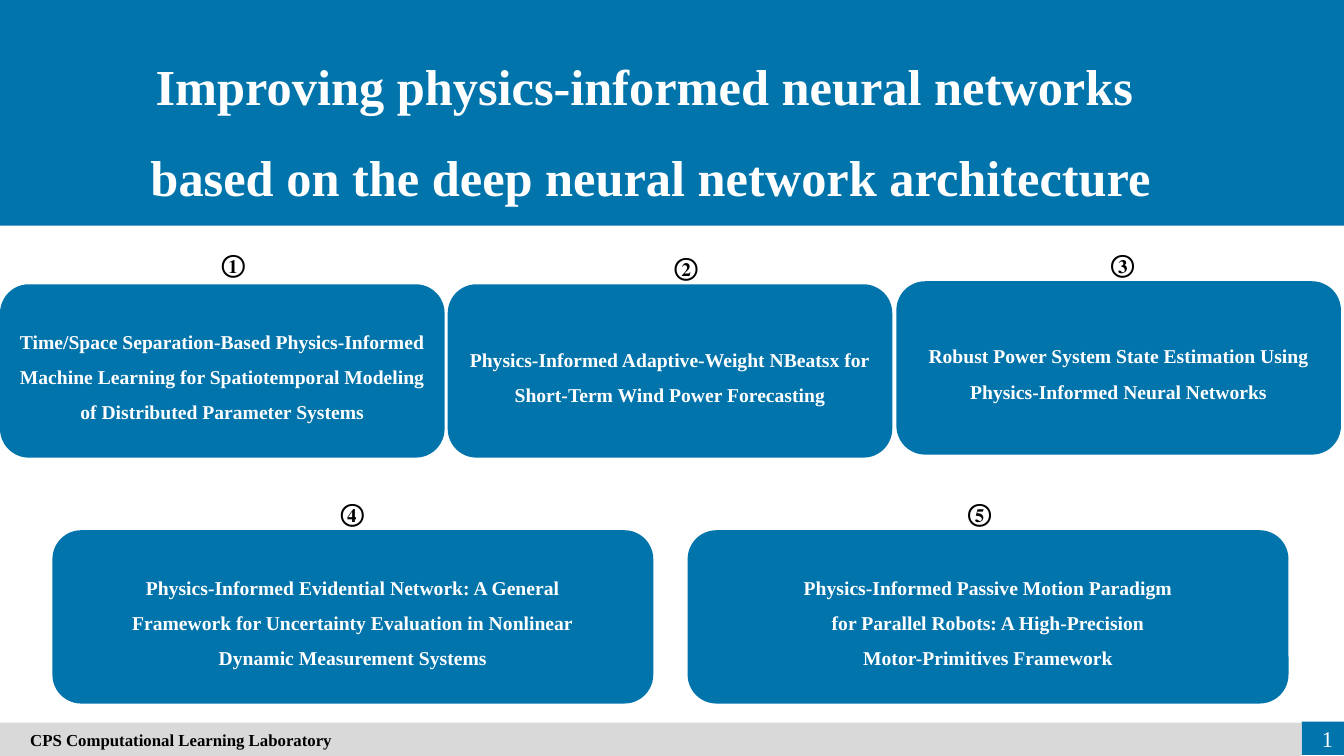
from pptx import Presentation
from pptx.dml.color import RGBColor
from pptx.enum.shapes import MSO_SHAPE
from pptx.enum.text import MSO_ANCHOR, MSO_AUTO_SIZE, PP_ALIGN
from pptx.util import Inches, Pt

FONT = "Times New Roman"
BLUE, GREY, WHITE, BLACK = "0174AB", "D9D9D9", "FFFFFF", "000000"
TITLE = ["Improving physics-informed neural networks ",
         "based on the deep neural network architecture"]
CARD_HEIGHT = 1.72
PAPERS = [
    ("①", (2.1, 2.41), (0, 2.82, 4.41),
     ["Time/Space Separation-Based Physics-Informed",
      "Machine Learning for Spatiotemporal Modeling",
      "of Distributed Parameter Systems"]),
    ("②", (6.59, 2.44), (4.44, 2.82, 4.41),
     ["Physics-Informed Adaptive-Weight NBeatsx for",
      "Short-Term Wind Power Forecasting"]),
    ("③", (10.92, 2.41), (8.89, 2.79, 4.41),
     ["Robust Power System State Estimation Using Physics-Informed Neural Networks"]),
    ("④", (3.28, 4.88), (0.52, 5.26, 5.96),
     ["Physics-Informed Evidential Network: A General",
      "Framework for Uncertainty Evaluation in Nonlinear",
      "Dynamic Measurement Systems"]),
    ("⑤", (9.5, 4.88), (6.82, 5.26, 5.96),
     ["Physics-Informed Passive Motion Paradigm",
      "for Parallel Robots: A High-Precision",
      "Motor-Primitives Framework"]),
]


def rgb(value):
    """Turn a hex string into a colour."""
    return RGBColor.from_string(value)


def write(tf, lines, size, color, align=PP_ALIGN.LEFT, spacing=1.0, bold=True):
    """Write one paragraph per line with shared formatting."""
    for i, line in enumerate(lines):
        p = tf.add_paragraph() if i else tf.paragraphs[0]
        p.alignment, p.line_spacing = align, spacing
        p.space_before = Pt(0)
        r = p.add_run()
        r.text = line
        r.font.name, r.font.size, r.font.bold = FONT, Pt(size), bold
        r.font.color.rgb = rgb(color)


def add_block(s, box, fill, kind=MSO_SHAPE.RECTANGLE):
    """Add a flat filled shape without an outline."""
    sp = s.shapes.add_shape(kind, *map(Inches, box))
    sp.shadow.inherit = False
    sp.fill.solid()
    sp.fill.fore_color.rgb = rgb(fill)
    sp.line.fill.background()
    sp.text_frame.vertical_anchor = MSO_ANCHOR.MIDDLE
    return sp


def add_title(s):
    """Place the title over a blue band."""
    band = add_block(s, (0, 0, 13.33, 2.24), BLUE)
    title = s.shapes.title
    title.element.addprevious(band.element)
    title.left, title.top, title.width, title.height = map(Inches, (0.34, 0.2, 12.23, 1.81))
    tf = title.text_frame
    tf.auto_size = MSO_AUTO_SIZE.NONE
    tf.word_wrap = True
    tf.vertical_anchor = MSO_ANCHOR.TOP
    write(tf, TITLE, 36, WHITE, PP_ALIGN.CENTER, 1.5)


def add_paper(s, number, number_at, card, lines):
    """Add a paper card and the circled number above it."""
    sp = add_block(s, (*card, CARD_HEIGHT), BLUE, MSO_SHAPE.ROUNDED_RECTANGLE)
    write(sp.text_frame, lines, 14, WHITE, PP_ALIGN.CENTER, 1.5)
    badge = s.shapes.add_textbox(*map(Inches, (*number_at, 0.45, 0.4)))
    badge.text_frame.word_wrap = False
    write(badge.text_frame, [number], 18, BLACK)


def add_footer(s):
    """Add the laboratory bar and the page number."""
    add_block(s, (12.91, 7.16, 0.42, 0.33), BLUE)
    bar = add_block(s, (0, 7.17, 12.91, 0.33), GREY)
    bar.text_frame.margin_left = Inches(0.3)
    write(bar.text_frame, ["CPS Computational Learning Laboratory"], 12, BLACK)
    page = s.shapes.add_textbox(*map(Inches, (12.69, 7.13, 0.63, 0.4)))
    page.text_frame.word_wrap = True
    page.text_frame.vertical_anchor = MSO_ANCHOR.MIDDLE
    write(page.text_frame, ["1"], 16, WHITE, PP_ALIGN.RIGHT, bold=False)


def main():
    """Build and save the slide."""
    prs = Presentation()
    prs.slide_width, prs.slide_height = Inches(13.33), Inches(7.5)
    s = prs.slides.add_slide(prs.slide_layouts[5])
    add_title(s)
    for paper in PAPERS:
        add_paper(s, *paper)
    add_footer(s)
    prs.save("out.pptx")


if __name__ == "__main__":
    main()
